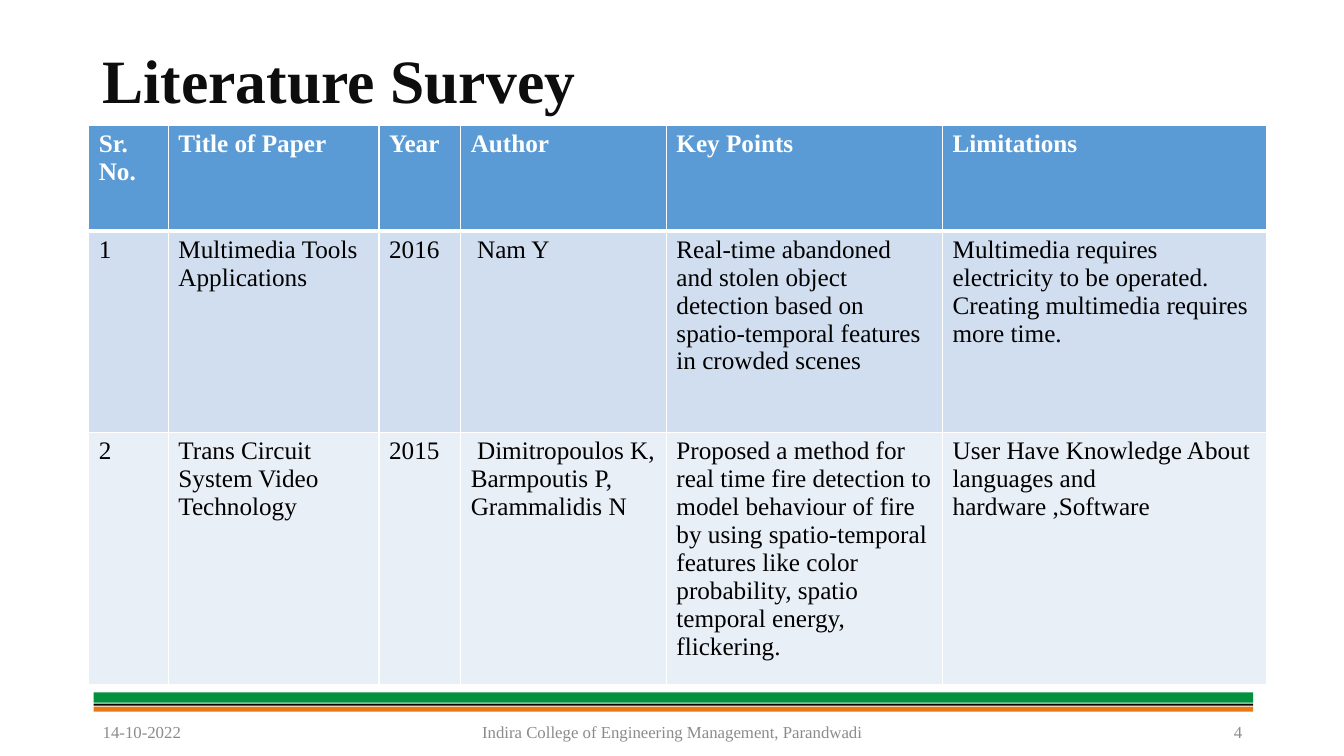
from lxml import etree
from pptx import Presentation
from pptx.dml.color import RGBColor
from pptx.enum.shapes import MSO_SHAPE
from pptx.enum.text import MSO_ANCHOR, PP_ALIGN
from pptx.oxml.ns import qn
from pptx.util import Inches, Pt

RECTANGLE = MSO_SHAPE.RECTANGLE
MIDDLE = MSO_ANCHOR.MIDDLE
LEFT, CENTER, RIGHT = PP_ALIGN.LEFT, PP_ALIGN.CENTER, PP_ALIGN.RIGHT
FONT = "Times New Roman"
COLORS = {
    "white": "FFFFFF",
    "black": "000000",
    "title": "0D0D0D",
    "footer": "8B8B8B",
    "green": "02913F",
    "orange": "E67817",
    "header": "5B9BD5",
    "odd_row": "D1DEEF",
    "even_row": "E9EFF7",
}
COLUMN_WIDTHS = [0.79, 2.09, 0.81, 2.04, 2.74, 3.21]
ROW_HEIGHTS = [1.05, 2, 2.43]
ROW_FILLS = ["header", "odd_row", "even_row"]
THIN, THICK = 0.96, 3
SURVEY = [
    [["Sr.", "No."], ["Title of Paper"], ["Year"], ["Author"], ["Key Points"], ["Limitations"]],
    [
        ["1"],
        ["Multimedia Tools Applications"],
        ["2016"],
        [" Nam Y"],
        ["Real-time abandoned and stolen object detection based on "
         "spatio-temporal features in crowded scenes"],
        ["Multimedia requires electricity to be operated.",
         "Creating multimedia requires more time."],
    ],
    [
        ["2"],
        ["Trans Circuit System Video Technology"],
        ["2015"],
        [" Dimitropoulos K, Barmpoutis P, Grammalidis N"],
        ["Proposed a method for real time fire detection to model behaviour of fire "
         "by using spatio-temporal features like color probability, spatio temporal "
         "energy, flickering."],
        ["User Have Knowledge About languages and hardware ,Software"],
    ],
]


def color(name):
    return RGBColor.from_string(COLORS[name])


def add_run(paragraph, text, size, color_name, bold=False):
    run = paragraph.add_run()
    run.text = text
    run.font.name = FONT
    run.font.size = Pt(size)
    run.font.bold = bold
    run.font.color.rgb = color(color_name)


def add_bar(slide, top, height, color_name):
    shape = slide.shapes.add_shape(
        RECTANGLE, Inches(0.93), Inches(top), Inches(11.5), Inches(height))
    shape.shadow.inherit = False
    shape.fill.solid()
    shape.fill.fore_color.rgb = color(color_name)
    shape.line.fill.background()


def add_text(slide, box, text, size, color_name, alignment=LEFT, bold=False):
    shape = slide.shapes.add_textbox(*(Inches(value) for value in box))
    frame = shape.text_frame
    frame.word_wrap = True
    frame.vertical_anchor = MIDDLE
    paragraph = frame.paragraphs[0]
    paragraph.alignment = alignment
    add_run(paragraph, text, size, color_name, bold)
    return shape


def add_title(slide, text):
    shape = add_text(slide, (0.92, 0.31, 11.5, 1.04), text, 44, "title", bold=True)
    shape.line.color.rgb = color("white")
    shape.line.width = Pt(1.5)
    shape.text_frame.paragraphs[0].line_spacing = 0.9


def set_borders(cell, top, bottom):
    properties = cell._tc.get_or_add_tcPr()
    for side, width in (("L", THIN), ("R", THIN), ("T", top), ("B", bottom)):
        line = etree.SubElement(properties, qn("a:ln" + side), w=str(Pt(width)))
        fill = etree.SubElement(line, qn("a:solidFill"))
        etree.SubElement(fill, qn("a:srgbClr"), val=COLORS["white"])


def fill_cell(cell, lines, row_index):
    is_header = row_index == 0
    set_borders(cell, THICK if row_index == 1 else THIN, THICK if is_header else THIN)
    cell.fill.solid()
    cell.fill.fore_color.rgb = color(ROW_FILLS[row_index])
    frame = cell.text_frame
    for index, text in enumerate(lines):
        paragraph = frame.add_paragraph() if index else frame.paragraphs[0]
        add_run(paragraph, text, 18, "white" if is_header else "black", is_header)


def add_survey_table(slide):
    table = slide.shapes.add_table(
        len(ROW_HEIGHTS), len(COLUMN_WIDTHS), Inches(0.88), Inches(1.24),
        Inches(sum(COLUMN_WIDTHS)), Inches(sum(ROW_HEIGHTS))).table
    for column, width in zip(table.columns, COLUMN_WIDTHS):
        column.width = Inches(width)
    for row_index, (row, height) in enumerate(zip(table.rows, ROW_HEIGHTS)):
        row.height = Inches(height)
        for cell, lines in zip(row.cells, SURVEY[row_index]):
            fill_cell(cell, lines, row_index)


def main():
    presentation = Presentation()
    presentation.slide_width = Inches(13.33)
    presentation.slide_height = Inches(7.5)
    slide = presentation.slides.add_slide(presentation.slide_layouts[6])
    add_bar(slide, 6.87, 0.1, "green")
    add_bar(slide, 7.01, 0.05, "orange")
    add_bar(slide, 6.98, 0.02, "black")
    add_title(slide, "Literature Survey")
    add_survey_table(slide)
    for left, width, text, alignment in (
        (0.92, 3, "14-10-2022", LEFT),
        (4.42, 4.5, "Indira College of Engineering Management, Parandwadi", CENTER),
        (9.42, 3, "4", RIGHT),
    ):
        add_text(slide, (left, 7.06, width, 0.4), text, 12, "footer", alignment)
    presentation.save("out.pptx")


if __name__ == "__main__":
    main()
